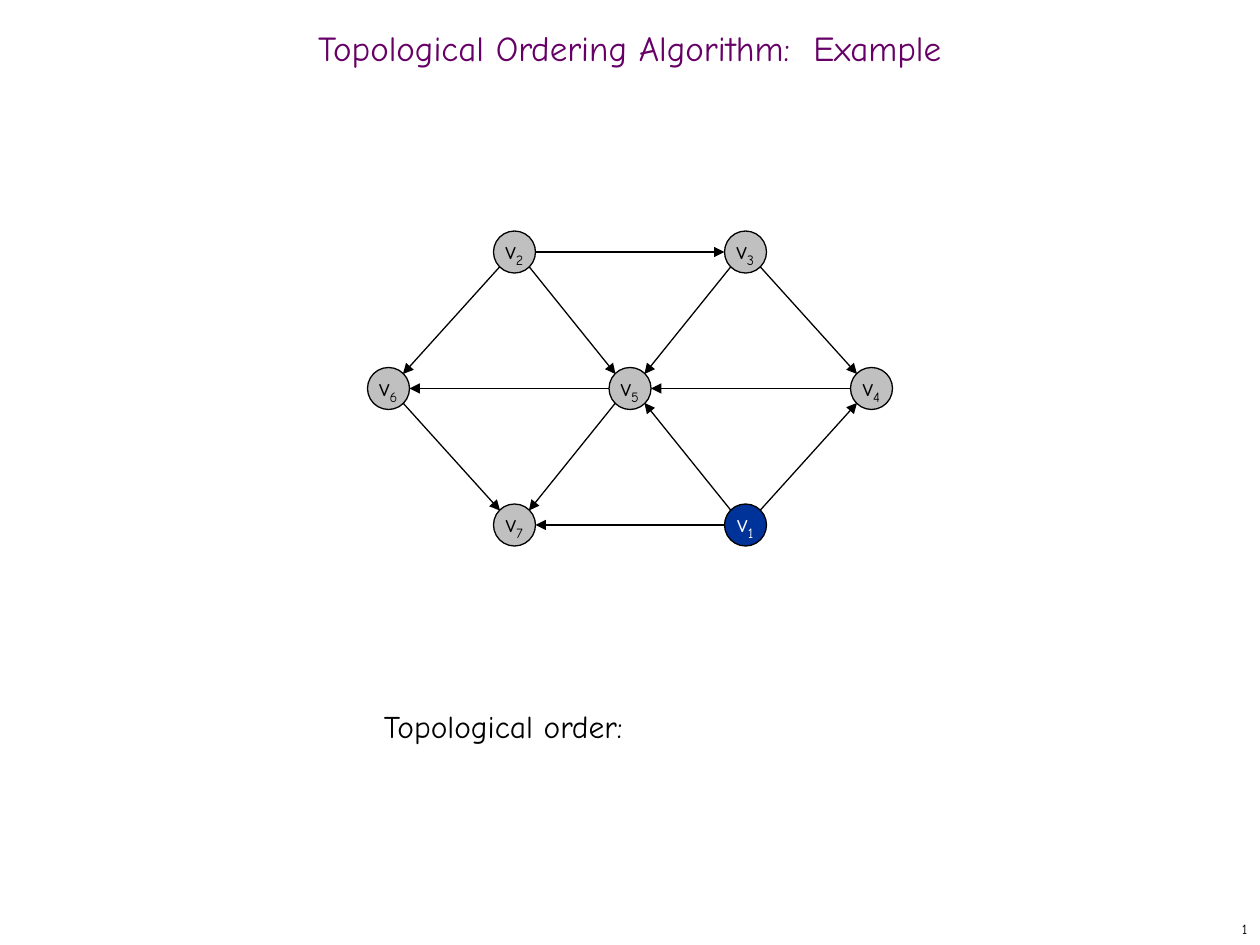
"""Build the topological ordering example slide."""
from lxml.etree import SubElement as Sub
from pptx import Presentation
from pptx.dml.color import RGBColor as RGB
from pptx.enum.shapes import MSO_CONNECTOR as Link, MSO_SHAPE as Kind
from pptx.enum.text import MSO_ANCHOR as Anchor, MSO_AUTO_SIZE as Auto, PP_ALIGN as Align
from pptx.oxml.ns import qn
from pptx.util import Emu, Pt

HUES = {"ink": "000000", "head": "660066", "node": "C0C0C0",
        "pick": "003399", "white": "FFFFFF"}
WIDE, HIGH = 960, 720
SIZE = 32
HALF, DIAG = 16, 11
NODES = {2: (392, 192), 3: (568, 192), 6: (296, 296), 5: (480, 296),
         4: (664, 296), 7: (392, 400), 1: (568, 400)}
EDGES = [(2, 6), (2, 5), (2, 3), (3, 4), (4, 5), (1, 4),
         (5, 7), (1, 5), (1, 7), (6, 7), (5, 6), (3, 5)]


def px(*nums):
    return [Emu(num * 9525) for num in nums]


def hue(name):
    return RGB.from_string(HUES[name])


class Deck:
    def __init__(self):
        self.font = "Comic Neue"
        self.show = Presentation()
        self.show.slide_width, self.show.slide_height = px(WIDE, HIGH)
        self.slide = self.show.slides.add_slide(self.show.slide_layouts[5])
        self.shapes = self.slide.shapes

    def fill_text(self, shape, runs, size, tint="ink", align=Align.LEFT,
                  anchor=Anchor.MIDDLE, wrap=False):
        frame = shape.text_frame
        frame.word_wrap = wrap
        frame.auto_size = Auto.NONE
        frame.vertical_anchor = anchor
        para = frame.paragraphs[0]
        para.alignment = align
        for text, base in runs:
            run = para.add_run()
            run.text = text
            run.font.name = self.font
            run.font.size = Pt(size)
            run.font.bold = False
            run.font.color.rgb = hue(tint)
            if base:
                run._r.get_or_add_rPr().set("baseline", str(base * 1000))
        return frame

    def title(self, text, box):
        head = self.shapes.title
        head.left, head.top, head.width, head.height = px(*box)
        frame = self.fill_text(head, [(text, 0)], 20, "head", Align.CENTER, wrap=True)
        frame.paragraphs[0].line_spacing = 0.7

    def label(self, text, box, size, **style):
        shape = self.shapes.add_textbox(*px(*box))
        return self.fill_text(shape, [(text, 0)], size, **style)

    def node(self, num, fill="node", tint="ink"):
        x, y = NODES[num]
        dot = self.shapes.add_shape(Kind.OVAL, *px(x - HALF, y - HALF, SIZE, SIZE))
        dot.shadow.inherit = False
        dot.fill.solid()
        dot.fill.fore_color.rgb = hue(fill)
        dot.line.color.rgb = hue("ink")
        dot.line.width = Pt(0.75)
        self.fill_text(dot, [("v", 0), (str(num), -25)], 14, tint, Align.CENTER)

    def edge(self, start, end):
        (x, y), (u, v) = NODES[start], NODES[end]
        way = 1 if u > x else -1
        fall = (v > y) - (v < y)
        dx, dy = way * (DIAG if fall else HALF), fall * DIAG
        line = self.shapes.add_connector(
            Link.STRAIGHT, *px(x + dx, y + dy, u - dx, v - dy))
        line.line.color.rgb = hue("ink")
        line.line.width = Pt(0.75)
        Sub(line.line._get_or_add_ln(), qn("a:tailEnd"), type="triangle")
        Sub(line._element.spPr, qn("a:effectLst"))


def main():
    deck = Deck()
    deck.label("1", (760, 696, 200, 24), 8, align=Align.RIGHT)
    deck.title("Topological Ordering Algorithm:  Example", (0, 16, WIDE, 48))
    order = deck.label("Topological order:", (283, 534, 220, 38), 18,
                       anchor=Anchor.TOP)
    order.auto_size = Auto.SHAPE_TO_FIT_TEXT
    for num in NODES:
        if num == 1:
            deck.node(num, "pick", "white")
        else:
            deck.node(num)
    for start, end in EDGES:
        deck.edge(start, end)
    deck.show.save("out.pptx")


if __name__ == "__main__":
    main()
